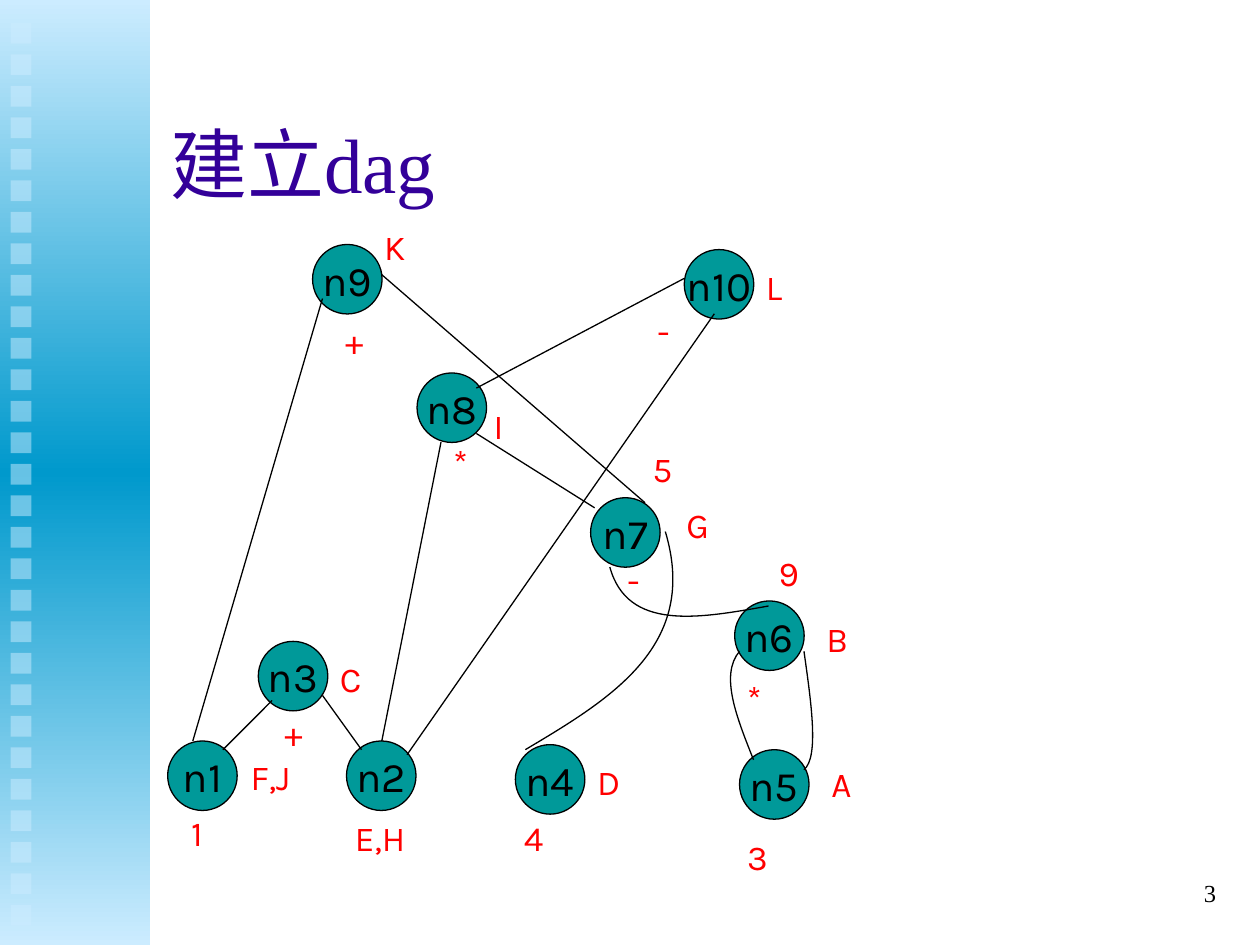
from copy import deepcopy

from pptx import Presentation
from pptx.dml.color import RGBColor as RGB
from pptx.enum.shapes import MSO_CONNECTOR as LINK, MSO_SHAPE as SHAPE
from pptx.enum.text import MSO_ANCHOR as ANCHOR, MSO_AUTO_SIZE as FIT, PP_ALIGN as ALIGN
from pptx.oxml.ns import qn
from pptx.oxml.xmlchemy import OxmlElement
from pptx.util import Pt

COLORS = {"pale": "CCECFF", "blue": "0099CC", "title": "330099",
          "node": "009999", "label": "FF0000", "black": "000000"}
NODE = 39.7
WIDE, SLIM, TALL = 48.2, 28, 31.7

NODES = {
    "n1": (95.8, 423.4), "n2": (198, 423.4), "n3": (147.6, 366.5),
    "n4": (294.5, 425.5), "n5": (422.6, 428.4), "n6": (419.8, 343.4),
    "n7": (337.5, 284.4), "n8": (238.3, 213.1), "n9": (178.6, 139.7),
    "n10": (391, 142.6),
}
SIGNS = [("1", 102.2, 460.1), ("-", 368.6, 173.5), ("+", 190.1, 179.3),
         ("+", 155.5, 403.2), ("*", 252, 248.4)]
NAMES = [
    ("F,J", 136.1, 428.4), ("E,H", 195.8, 463), ("D", 334.1, 431.3),
    ("4", 292.3, 463), ("A", 468, 432), ("*", 419.8, 383),
    ("-", 351.4, 315.4), ("B", 465.1, 349.2), ("G", 385.2, 284.4),
    ("I", 275, 227.5), ("K", 212.4, 125.3), ("L", 430.6, 148.3),
    ("C", 187.2, 372.2), ("3", 419.8, 473.8), ("9", 437.8, 311.8),
    ("5", 365.8, 252),
]
EDGES = [
    (252, 252.7, 218.2, 423.4),    # n8 to n2
    (127.4, 428.4, 155.5, 400.3),  # n1 to n3
    (206.6, 428.4, 184.3, 397.4),  # n2 to n3
    (339.8, 290.2, 272.2, 247.7),  # n7 to n8
    (110.2, 423.4, 184.3, 170.6),  # n1 to n9
    (368.6, 287.3, 218.2, 157),    # n7 to n9
    (272.2, 221.8, 391, 159.1),    # n8 to n10
    (232.6, 431.3, 408.2, 179.3),  # n2 to n10
]
CURVES = [
    [(430.6, 434.2), (421.2, 410.4), (411.1, 385.9), (422.6, 372.2)],  # n5 to n6
    [(459.4, 372.2), (463.7, 402.5), (468, 432.7), (459.4, 439.9)],    # n6 to n5
    [(300.2, 428.4), (349.9, 398.9), (399.6, 368.6), (380.2, 303.8)],  # n4 to n7
    [(439.2, 346.3), (398.9, 353.5), (358.6, 360.7), (348.5, 324)],    # n6 to n7
]


def color(name):
    return RGB.from_string(COLORS[name])


def box(x, y, w, h):
    return Pt(x), Pt(y), Pt(w), Pt(h)


def write(frame, text, size, tint, face, align=ALIGN.LEFT):
    frame.text = text
    para = frame.paragraphs[0]
    para.alignment = align
    para.font.size = Pt(size)
    para.font.name = face
    para.font.color.rgb = color(tint)
    return para


def ink(line):
    line.color.rgb = color("black")
    line.width = Pt(0.75)


def add_rect(shapes, *place):
    rect = shapes.add_shape(SHAPE.RECTANGLE, *box(*place))
    rect.shadow.inherit = False
    rect.line.fill.background()
    return rect


def add_band(shapes):
    """Draw the gradient side band with its column of see-through squares."""
    band = add_rect(shapes, 0, 0, 85.7, 540)
    band.fill.gradient()
    band.fill.gradient_angle = 90
    last = list(band.element.iter(qn("a:gs")))[-1]
    last.addnext(deepcopy(last))
    stops = zip(band.fill.gradient_stops, (0, 0.5, 1), ("pale", "blue", "pale"))
    for stop, spot, tint in stops:
        stop.position = spot
        stop.color.rgb = color(tint)

    for row in range(29):
        tile = add_rect(shapes, 6, 13 + 18 * row, 12, 12)
        tile.fill.solid()
        tile.fill.fore_color.rgb = color("pale")
        alpha = OxmlElement("a:alpha")
        alpha.set("val", "50000")
        next(tile.element.iter(qn("a:srgbClr"))).append(alpha)


def add_title(slide):
    title = slide.shapes.title
    title.left, title.top, title.width, title.height = box(90, 48, 612, 90)
    frame = title.text_frame
    frame.auto_size = FIT.NONE
    frame.vertical_anchor = ANCHOR.MIDDLE
    write(frame, "建立dag", 44, "title", "Times New Roman")


def add_node(shapes, name, x, y):
    node = shapes.add_shape(SHAPE.FLOWCHART_CONNECTOR, *box(x, y, NODE, NODE))
    node.shadow.inherit = False
    node.fill.solid()
    node.fill.fore_color.rgb = color("node")
    ink(node.line)
    frame = node.text_frame
    frame.word_wrap = False
    frame.vertical_anchor = ANCHOR.MIDDLE
    write(frame, name, 24, "black", "Karla", ALIGN.CENTER)


def add_edge(shapes, *ends):
    edge = shapes.add_connector(LINK.STRAIGHT, *map(Pt, ends))
    ink(edge.line)
    edge.element.spPr.append(OxmlElement("a:effectLst"))


def add_curve(shapes, points):
    """Draw one cubic curve: start, two control points, end."""
    start, *rest = points
    build = shapes.build_freeform(Pt(start[0]), Pt(start[1]))
    build.add_line_segments([(Pt(x), Pt(y)) for x, y in rest], close=False)
    curve = build.convert_to_shape()
    curve.shadow.inherit = False
    curve.fill.background()
    ink(curve.line)
    legs = list(curve.element.iter(qn("a:lnTo")))
    cubic = OxmlElement("a:cubicBezTo")
    legs[0].addprevious(cubic)
    for leg in legs:
        cubic.append(leg[0])
        leg.getparent().remove(leg)


def add_label(shapes, text, x, y, width):
    frame = shapes.add_textbox(*box(x, y, width, TALL)).text_frame
    frame.word_wrap = True
    frame.auto_size = FIT.SHAPE_TO_FIT_TEXT
    write(frame, text, 20, "label", "Karla").space_before = Pt(12.5)


def add_number(shapes):
    frame = shapes.add_textbox(*box(552, 492, 150, 36)).text_frame
    frame.word_wrap = True
    frame.vertical_anchor = ANCHOR.MIDDLE
    write(frame, "3", 14, "black", "Times New Roman", ALIGN.RIGHT)


def main():
    deck = Presentation()
    deck.slide_width, deck.slide_height = Pt(720), Pt(540)
    slide = deck.slides.add_slide(deck.slide_layouts[5])
    shapes = slide.shapes

    add_band(shapes)
    add_title(slide)
    for name, spot in NODES.items():
        add_node(shapes, name, *spot)
    for ends in EDGES:
        add_edge(shapes, *ends)
    for points in CURVES:
        add_curve(shapes, points)
    for group, width in ((SIGNS, SLIM), (NAMES, WIDE)):
        for label in group:
            add_label(shapes, *label, width)
    add_number(shapes)

    deck.save("out.pptx")


if __name__ == "__main__":
    main()
